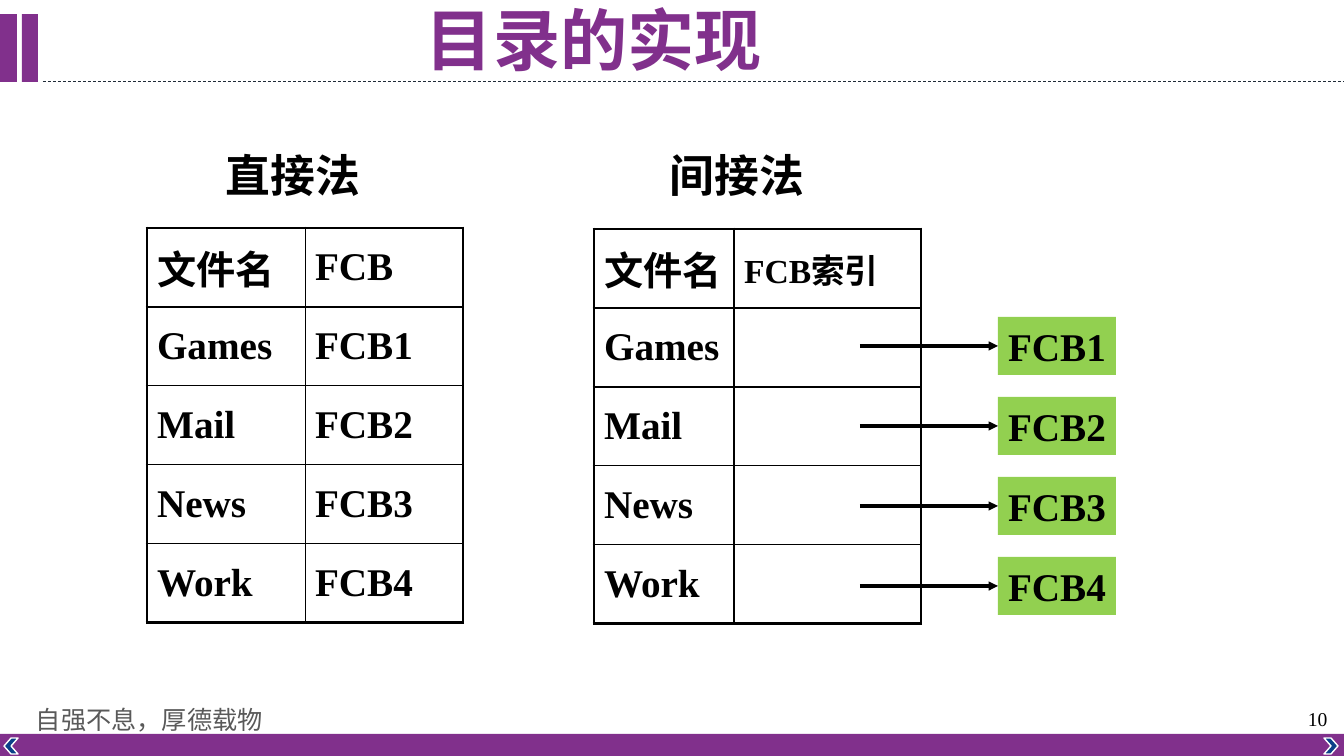
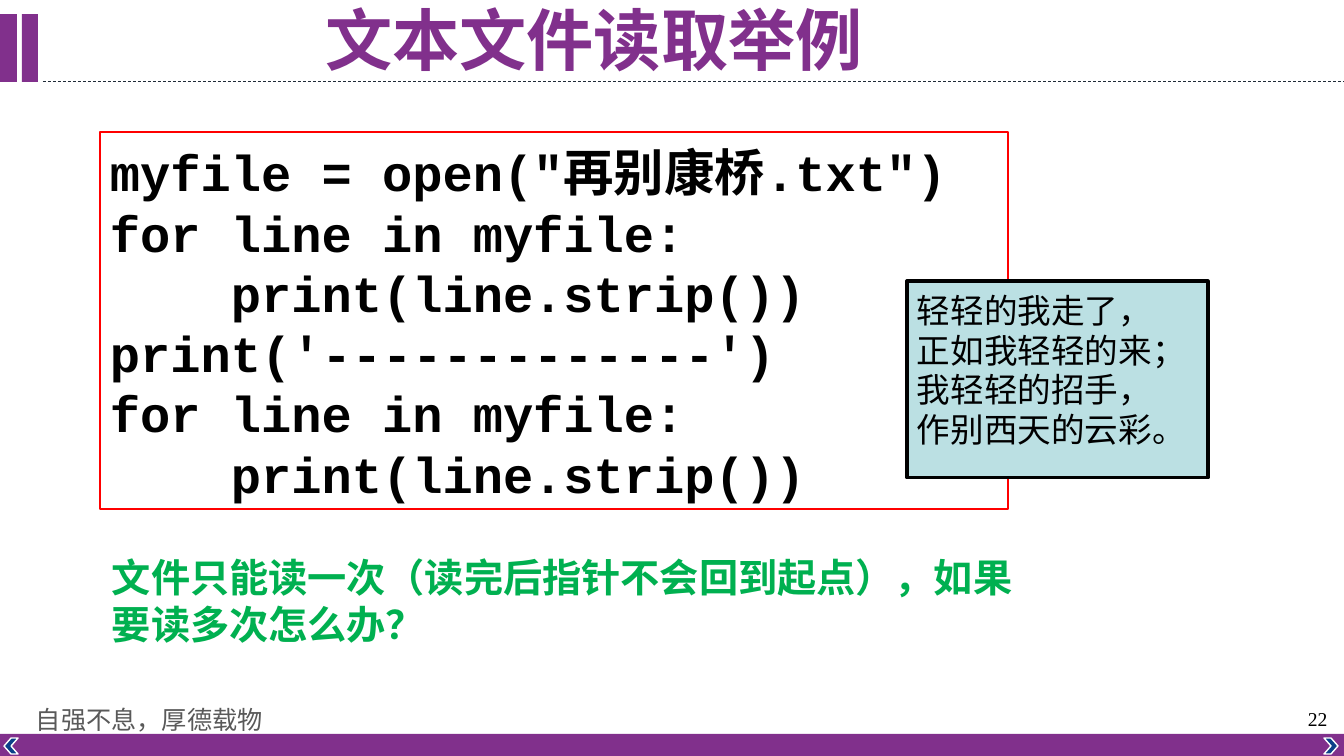
from lxml import etree
from pptx import Presentation
from pptx.dml.color import RGBColor
from pptx.enum.dml import MSO_LINE
from pptx.enum.shapes import MSO_CONNECTOR, MSO_SHAPE
from pptx.enum.text import MSO_ANCHOR, MSO_AUTO_SIZE, PP_ALIGN
from pptx.oxml.ns import qn
from pptx.util import Pt

SLIDE_WIDTH, SLIDE_HEIGHT = 1344, 756
SCALE = 12192000 / SLIDE_WIDTH

PURPLE = RGBColor(0x81, 0x30, 0x8C)
NAVY = RGBColor(0x0B, 0x41, 0x89)
SLATE = RGBColor(0x1F, 0x2B, 0x37)
GRAY = RGBColor(0x59, 0x59, 0x59)
BLACK = RGBColor(0, 0, 0)
WHITE = RGBColor(0xFF, 0xFF, 0xFF)
RED = RGBColor(0xFF, 0, 0)
LIME = RGBColor(0x92, 0xD0, 0x50)
GREEN = RGBColor(0, 0xB0, 0x50)
PALE_BLUE = RGBColor(0xBB, 0xE0, 0xE3)

SANS, SERIF, MONO = "Noto Sans CJK SC", "Times New Roman", "Courier New"
RECTANGLE, CHEVRON = MSO_SHAPE.RECTANGLE, MSO_SHAPE.CHEVRON
STRAIGHT, DASH = MSO_CONNECTOR.STRAIGHT, MSO_LINE.DASH
LEFT, CENTER = PP_ALIGN.LEFT, PP_ALIGN.CENTER
TOP, MIDDLE = MSO_ANCHOR.TOP, MSO_ANCHOR.MIDDLE
NO_AUTOSIZE = MSO_AUTO_SIZE.NONE


def px(*lengths):
    return [round(length * SCALE) for length in lengths]


def write_text(frame, lines, size, name=SANS, color=BLACK, bold=False,
               align=LEFT, spacing=None, anchor=MIDDLE):
    frame_format = {"word_wrap": True, "auto_size": NO_AUTOSIZE, "vertical_anchor": anchor}
    for attribute, value in frame_format.items():
        setattr(frame, attribute, value)
    for index, line in enumerate(lines):
        paragraph = frame.paragraphs[0] if index == 0 else frame.add_paragraph()
        paragraph.alignment = align
        paragraph.line_spacing = spacing
        run = paragraph.add_run()
        run.text = line
        for attribute, value in {"size": Pt(size), "name": name, "bold": bold}.items():
            setattr(run.font, attribute, value)
        run.font.color.rgb = color
        etree.SubElement(run._r.get_or_add_rPr(), qn("a:ea"), typeface=SANS)


presentation = Presentation()
presentation.slide_width, presentation.slide_height = px(SLIDE_WIDTH, SLIDE_HEIGHT)
layout = presentation.slide_layouts[5]
directory_slide, reading_slide = [presentation.slides.add_slide(layout) for _ in range(2)]

# Shared frame: built once, then moved to the layout
frame_shapes = []
rule = directory_slide.shapes.add_connector(STRAIGHT, *px(43, 81, SLIDE_WIDTH, 81))
rule.line.color.rgb = SLATE
rule.line.width = Pt(0.5)
rule.line.dash_style = DASH
etree.SubElement(rule._element.spPr, qn("a:effectLst"))
frame_shapes.append(rule)

for kind, bounds, fill, rotation in [
    (RECTANGLE, (0, 14, 17, 68), PURPLE, 0),
    (RECTANGLE, (22, 14, 16, 68), PURPLE, 0),
    (RECTANGLE, (0, 734, SLIDE_WIDTH, 22), PURPLE, 0),
    (CHEVRON, (1324, 738, 14, 16), NAVY, 0),
    (CHEVRON, (4, 738, 14, 16), NAVY, 180),
]:
    shape = directory_slide.shapes.add_shape(kind, *px(*bounds))
    shape.shadow.inherit = False
    shape.rotation = rotation
    shape.fill.solid()
    shape.fill.fore_color.rgb = fill
    if kind == CHEVRON:
        shape.line.color.rgb = WHITE
        shape.line.width = Pt(1)
    else:
        shape.line.fill.background()
    frame_shapes.append(shape)

motto = directory_slide.shapes.add_textbox(*px(26, 699, 260, 40))
write_text(motto.text_frame, ["自强不息，厚德载物"], 18, color=GRAY)
frame_shapes.append(motto)
for shape in frame_shapes:
    layout.shapes.element.append(shape._element)

layout_title = layout.placeholders[0]
layout_title.left, layout_title.top, layout_title.width, layout_title.height = px(44, 5, 1100, 77)

# Titles and page numbers
for slide, title, number in [
    (directory_slide, "目录的实现", "10"),
    (reading_slide, "文本文件读取举例", "22"),
]:
    write_text(slide.shapes.title.text_frame, [title], 48, color=PURPLE, bold=True,
               align=CENTER, spacing=0.9)
    page_number = slide.shapes.add_textbox(*px(1298, 702, 46, 34))
    write_text(page_number.text_frame, [number], 14, SERIF)

# Directory slide: headings and tables
files = ["Games", "Mail", "News", "Work"]
blocks = [f"FCB{number}" for number in range(1, 5)]
ROW_HEIGHT, THICK = 79, 2.25
for heading, heading_left, left, top, widths, header, entries, thin in [
    ("直接法", 216, 147, 228, (158, 158), "FCB", blocks, 0.75),
    ("间接法", 660, 594, 229, (140, 187), "FCB索引", [""] * 4, 1),
]:
    heading_box = directory_slide.shapes.add_textbox(*px(heading_left, 143, 180, 64))
    write_text(heading_box.text_frame, [heading], 32, bold=True)

    rows = [("文件名", header), *zip(files, entries)]
    table = directory_slide.shapes.add_table(
        len(rows), 2, *px(left, top, sum(widths), ROW_HEIGHT * len(rows))).table
    table.first_row = table.horz_banding = False
    for column, width in zip(table.columns, px(*widths)):
        column.width = width
    for row_index, row in enumerate(rows):
        table.rows[row_index].height = px(ROW_HEIGHT)[0]
        for column_index, text in enumerate(row):
            cell = table.cell(row_index, column_index)
            cell.vertical_anchor = MIDDLE
            if text:
                write_text(cell.text_frame, [text], 24 if text == "FCB索引" else 28,
                           SERIF, bold=True)
            thick_sides = {
                "a:lnL": column_index == 0,
                "a:lnR": column_index == 1,
                "a:lnT": row_index in (0, 1),
                "a:lnB": row_index in (0, len(rows) - 1),
            }
            for side, is_thick in thick_sides.items():
                border = etree.SubElement(cell._tc.get_or_add_tcPr(), qn(side),
                                          w=str(Pt(THICK if is_thick else thin)))
                border_fill = etree.SubElement(border, qn("a:solidFill"))
                etree.SubElement(border_fill, qn("a:srgbClr"), val=str(BLACK))
            cell.fill.background()

# Directory slide: control blocks and their arrows
BLOCK_LEFT, BLOCK_TOP, BLOCK_STEP, BLOCK_HEIGHT = 998, 317, 80, 58
for index, block in enumerate(blocks):
    block_top = BLOCK_TOP + index * BLOCK_STEP
    block_middle = block_top + BLOCK_HEIGHT // 2
    block_box = directory_slide.shapes.add_shape(
        RECTANGLE, *px(BLOCK_LEFT, block_top, 118, BLOCK_HEIGHT))
    block_box.shadow.inherit = False
    block_box.fill.solid()
    block_box.fill.fore_color.rgb = LIME
    block_box.line.fill.background()
    write_text(block_box.text_frame, [block], 28, SERIF, bold=True, align=CENTER)
    block_box.text_frame.word_wrap = False

    arrow = directory_slide.shapes.add_connector(
        STRAIGHT, *px(860, block_middle, BLOCK_LEFT, block_middle))
    arrow.end_connect(block_box, 1)
    arrow.line.color.rgb = BLACK
    arrow.line.width = Pt(2.25)
    etree.SubElement(arrow.line._get_or_add_ln(), qn("a:tailEnd"), type="triangle")
    etree.SubElement(arrow._element.spPr, qn("a:effectLst"))

# Reading slide: code and its output
code = [
    'myfile = open("再别康桥.txt")',
    "for line in myfile:",
    "    print(line.strip())",
    "print('-------------')",
    "for line in myfile:",
    "    print(line.strip())",
]
poem = ["轻轻的我走了，", "正如我轻轻的来；", "我轻轻的招手，", "作别西天的云彩。"]
for bounds, fill, outline, outline_width, lines, text_format in [
    ((100, 132, 908, 377), None, RED, 1.25, code,
     {"size": 36, "name": MONO, "bold": True, "spacing": Pt(43)}),
    ((907, 281, 301, 197), PALE_BLUE, BLACK, 2.25, poem,
     {"size": 24, "spacing": Pt(28.5), "anchor": TOP}),
]:
    panel = reading_slide.shapes.add_shape(RECTANGLE, *px(*bounds))
    panel.shadow.inherit = False
    if fill is None:
        panel.fill.background()
    else:
        panel.fill.solid()
        panel.fill.fore_color.rgb = fill
    panel.line.color.rgb = outline
    panel.line.width = Pt(outline_width)
    panel.text_frame.margin_top = px(9)[0]
    write_text(panel.text_frame, lines, **text_format)

# Reading slide: question
question = reading_slide.shapes.add_textbox(*px(102, 548, 938, 105))
write_text(question.text_frame, ["文件只能读一次（读完后指针不会回到起点），如果要读多次怎么办？"],
           28, MONO, GREEN, bold=True, spacing=Pt(33.5))

presentation.save("out.pptx")
